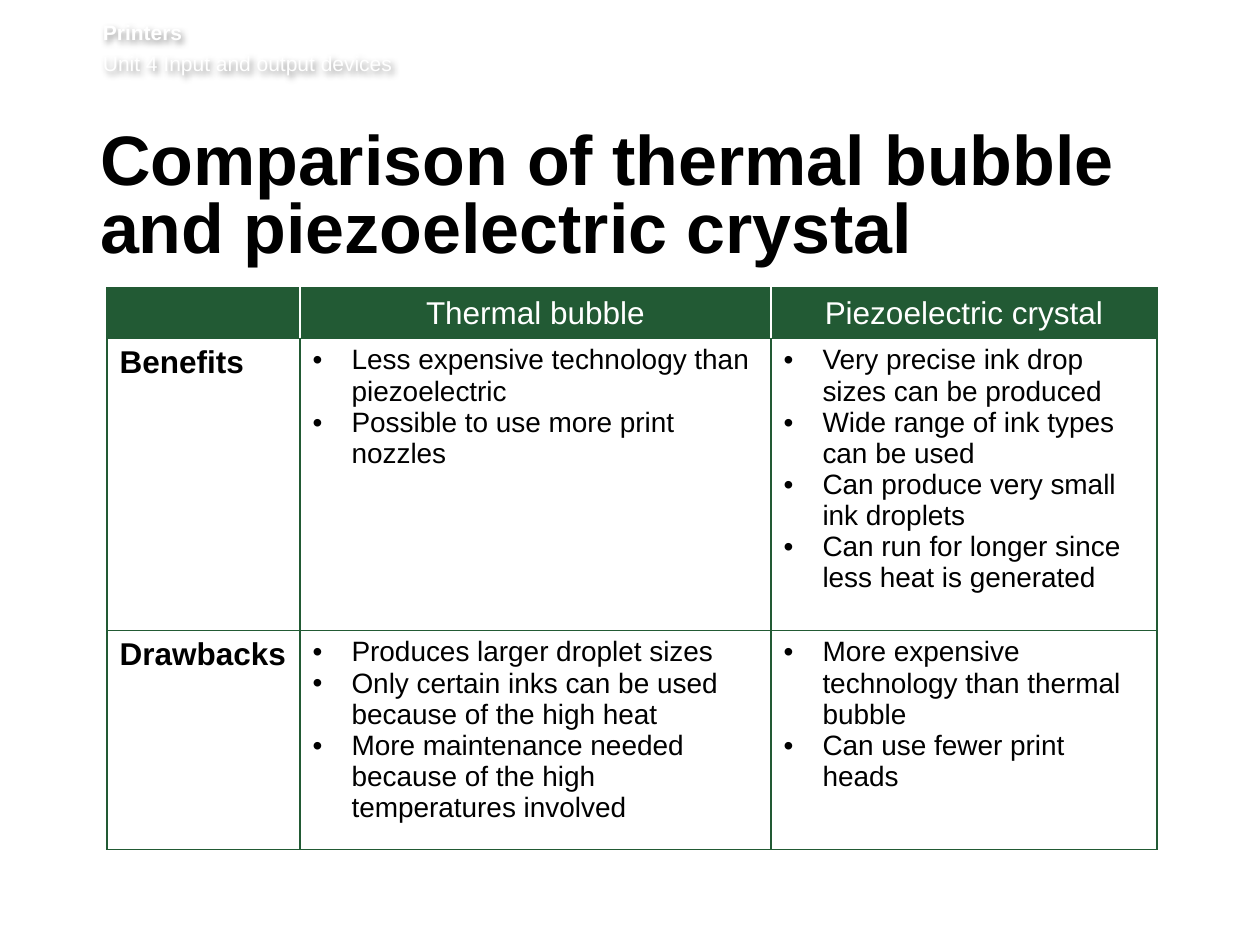
from lxml import etree
from pptx import Presentation
from pptx import util as u
from pptx.dml.color import RGBColor
from pptx.enum import text
from pptx.oxml import parse_xml
from pptx.oxml.ns import nsdecls, qn

PX_PER_INCH = 126
FONT = "Arial"
GREEN = RGBColor(0x22, 0x5A, 0x34)
WHITE = RGBColor(0xFF, 0xFF, 0xFF)
BLACK = RGBColor(0, 0, 0)

HEADINGS = ["", "Thermal bubble", "Piezoelectric crystal"]
ROWS = [
    ("Benefits",
     ["Less expensive technology than piezoelectric",
      "Possible to use more print nozzles"],
     ["Very precise ink drop sizes can be produced",
      "Wide range of ink types can be used",
      "Can produce very small ink droplets",
      "Can run for longer since less heat is generated"]),
    ("Drawbacks",
     ["Produces larger droplet sizes",
      "Only certain inks can be used because of the high heat",
      "More maintenance needed because of the high temperatures involved"],
     ["More expensive technology than thermal bubble",
      "Can use fewer print heads"]),
]


def px(n):
    return u.Emu(round(n * 914400 / PX_PER_INCH))


class SlideBuilder:
    def __init__(self, slide):
        self.slide = slide

    def run(self, p, words, size, color=BLACK, bold=False):
        r = p.add_run()
        r.text = words
        r.font.name = FONT
        r.font.size = u.Pt(size)
        r.font.bold = bold
        r.font.color.rgb = color

    def textbox(self, x, y, w, h, insets):
        sp = self.slide.shapes.add_textbox(px(x), px(y), px(w), px(h))
        tf = sp.text_frame
        tf.word_wrap = True
        tf.margin_left, tf.margin_top, tf.margin_right, tf.margin_bottom = map(px, insets)
        return sp

    def soft_shadow(self, sp):
        sp._element.spPr.append(parse_xml(
            f'<a:effectLst {nsdecls("a")}><a:outerShdw blurRad="50800" dist="25400" '
            'dir="2700000" algn="tl" rotWithShape="0"><a:srgbClr val="000000">'
            '<a:alpha val="40000"/></a:srgbClr></a:outerShdw></a:effectLst>'))

    def header(self, unit_lines):
        sp = self.textbox(103, 20, 1111, 62, (0, 0, 0, 6))
        self.soft_shadow(sp)
        tf = sp.text_frame
        for i, words in enumerate(unit_lines):
            p = tf.add_paragraph() if i else tf.paragraphs[0]
            if i:
                p.space_before = u.Pt(2.9)
            self.run(p, words, 12, WHITE, bold=i == 0)

    def title(self, words):
        p = self.textbox(100, 125, 1077, 92, (0, 6, 13, 6)).text_frame.paragraphs[0]
        p.line_spacing = u.Pt(39)
        p.space_after = u.Pt(15)
        self.run(p, words, 40, bold=True)

    def borders(self, cell, left=GREEN, right=GREEN):
        tcPr = cell._tc.get_or_add_tcPr()
        for side, color in (("L", left), ("R", right), ("T", GREEN), ("B", GREEN)):
            ln = etree.SubElement(tcPr, qn(f"a:ln{side}"), w=str(u.Pt(1)))
            fill = etree.SubElement(ln, qn("a:solidFill"))
            etree.SubElement(fill, qn("a:srgbClr"), val=str(color))

    def bullets(self, tf, items):
        for i, words in enumerate(items):
            p = tf.add_paragraph() if i else tf.paragraphs[0]
            pPr = p._p.get_or_add_pPr()
            pPr.set("marL", str(px(39)))
            pPr.set("indent", str(-px(39)))
            etree.SubElement(pPr, qn("a:buFont"), typeface=FONT)
            etree.SubElement(pPr, qn("a:buChar"), char="•")
            self.run(p, words, 16)

    def heading_cell(self, cell, words, first, last):
        self.borders(cell, GREEN if first else WHITE, GREEN if last else WHITE)
        cell.fill.solid()
        cell.fill.fore_color.rgb = GREEN
        cell.vertical_anchor = text.MSO_ANCHOR.MIDDLE
        p = cell.text_frame.paragraphs[0]
        p.alignment = text.PP_ALIGN.CENTER
        if words:
            self.run(p, words, 18, WHITE)

    def table(self, x, y, widths, heights):
        frame = self.slide.shapes.add_table(
            len(heights), len(widths), px(x), px(y), px(sum(widths)), px(sum(heights)))
        table = frame.table
        table.first_row = table.horz_banding = False
        for column, w in zip(table.columns, widths):
            column.width = px(w)
        for row, h in zip(table.rows, heights):
            row.height = px(h)

        for c, words in enumerate(HEADINGS):
            self.heading_cell(table.cell(0, c), words, c == 0, c == len(HEADINGS) - 1)
        for r, (label, *lists) in enumerate(ROWS, 1):
            for c in range(len(widths)):
                cell = table.cell(r, c)
                self.borders(cell)
                cell.fill.background()
                if c == 0:
                    self.run(cell.text_frame.paragraphs[0], label, 18, bold=True)
                else:
                    self.bullets(cell.text_frame, lists[c - 1])


def main():
    prs = Presentation()
    prs.slide_width, prs.slide_height = px(1260), px(945)
    s = SlideBuilder(prs.slides.add_slide(prs.slide_layouts[6]))
    s.header(["Printers", "Unit 4 Input and output devices"])
    s.title("Comparison of thermal bubble and piezoelectric crystal")
    s.table(107, 288, [193, 471, 386], [45, 292, 219])
    prs.save("out.pptx")


if __name__ == "__main__":
    main()
